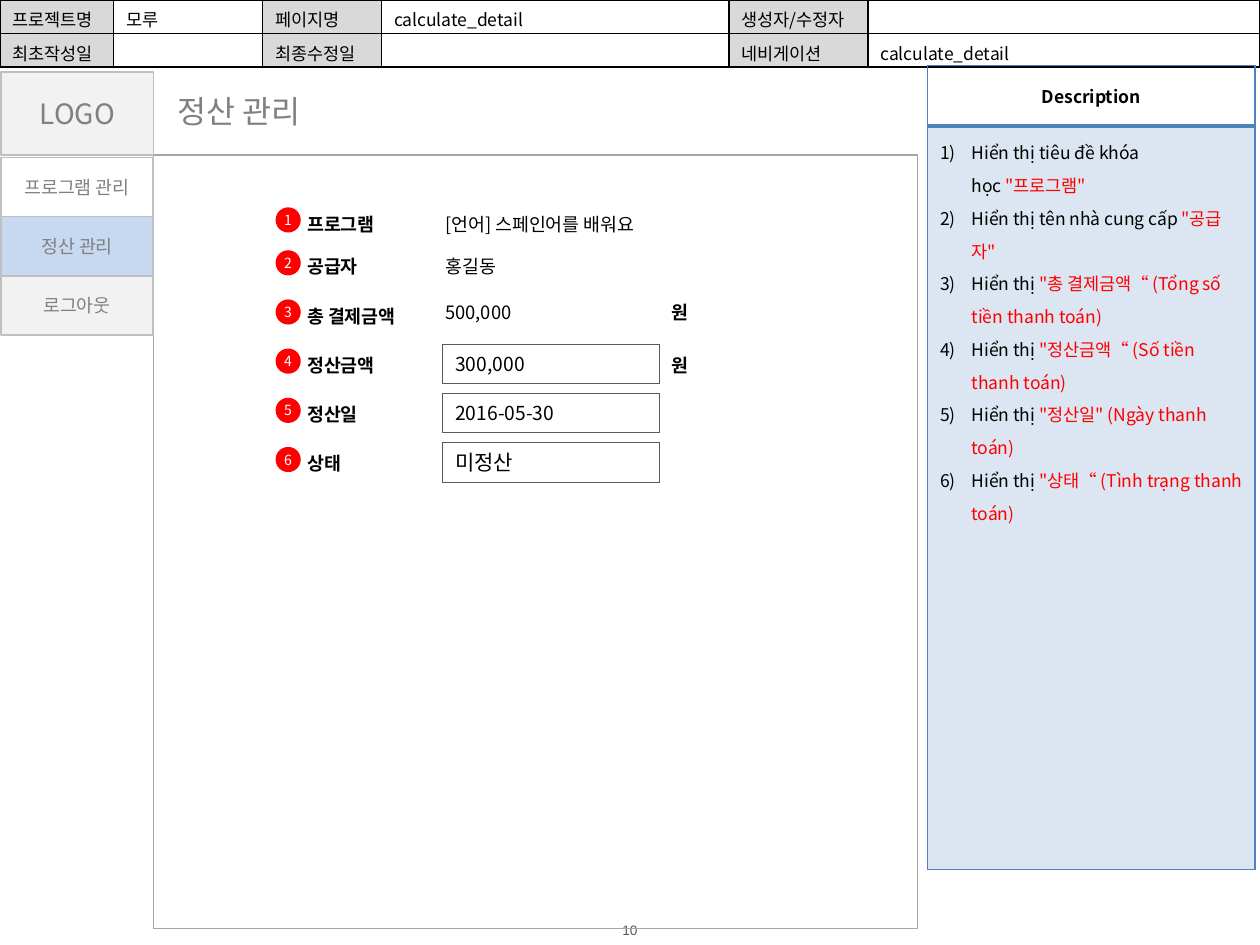
from lxml.etree import SubElement
from pptx import Presentation
from pptx.dml.color import RGBColor
from pptx.enum.shapes import MSO_SHAPE
from pptx.enum.text import MSO_ANCHOR, PP_ALIGN
from pptx.oxml.ns import qn
from pptx.util import Pt

FONT = "Noto Sans CJK KR"
COLORS = {
    "black": "000000", "white": "FFFFFF", "red": "FF0000", "blue": "4F81BD",
    "pale_blue": "DCE6F2", "active": "C6D9F1", "panel": "F2F2F2",
    "label": "D9D9D9", "border": "BFBFBF", "frame": "A6A6A6",
    "text_gray": "808080", "dark_gray": "595959",
}
HEADER_ROWS = [
    ["프로젝트명", "모루", "페이지명", "calculate_detail", "생성자/수정자", ""],
    ["최초작성일", "", "최종수정일", "", "네비게이션", "calculate_detail"],
]
HEADER_WIDTHS = [65, 85, 68, 198.5, 79.5, 224]
DESCRIPTIONS = [
    ("Hiển thị tiêu đề khóa học ", "\"프로그램\" "),
    ("Hiển thị tên nhà cung cấp ", "\"공급자\" "),
    ("Hiển thị ", "\"총 결제금액“ (Tổng số tiền thanh toán)"),
    ("Hiển thị ", "\"정산금액“ (Số tiền thanh toán)"),
    ("Hiển thị ", "\"정산일\" (Ngày thanh toán)"),
    ("Hiển thị ", "\"상태“ (Tình trạng thanh toán)"),
]
MENU = [("프로그램 관리", None), ("정산 관리", "active"), ("로그아웃", "panel")]
LABELS = ["프로그램", "공급자", "총 결제금액", "정산금액", "정산일", "상태"]
ROW_TOPS = [118] + [142.5 + 28.1 * step for step in range(5)]
VALUES = [("[언어] 스페인어를 배워요", 118), ("홍길동", 142.5), ("500,000", 168.5)]
FIELDS = [("300,000", 11), ("2016-05-30", 11), ("미정산", 12)]


def rgb(name):
    return RGBColor.from_string(COLORS[name])


def write_text(para, text, size=10, color="black", bold=False, align=None, font=FONT):
    if align is not None:
        para.alignment = align
    span = para.add_run()
    span.text = text
    span.font.size = Pt(size)
    span.font.bold = bold
    span.font.name = font
    span.font.color.rgb = rgb(color)
    SubElement(span.font._element, qn("a:ea")).set("typeface", font)


def set_fill(target, color):
    if color:
        target.fill.solid()
        target.fill.fore_color.rgb = rgb(color)
    else:
        target.fill.background()


def set_margins(frame, margin):
    frame.margin_left = frame.margin_right = Pt(margin)
    frame.margin_top = frame.margin_bottom = Pt(margin)


def add_label(page, text, left, top, width, height=21, margin=None, **style):
    box = page.shapes.add_textbox(Pt(left), Pt(top), Pt(width), Pt(height))
    frame = box.text_frame
    frame.word_wrap = True
    if margin is not None:
        set_margins(frame, margin)
    write_text(frame.paragraphs[0], text, **style)


def add_panel(page, left, top, width, height, text="", kind=MSO_SHAPE.RECTANGLE,
              fill=None, line=None, weight=1, margin=None, **style):
    shape = page.shapes.add_shape(kind, Pt(left), Pt(top), Pt(width), Pt(height))
    shape.shadow.inherit = False
    set_fill(shape, fill)
    if line:
        shape.line.color.rgb = rgb(line)
        shape.line.width = Pt(weight)
    else:
        shape.line.fill.background()
    frame = shape.text_frame
    frame.vertical_anchor = MSO_ANCHOR.MIDDLE
    if margin is not None:
        set_margins(frame, margin)
    if text:
        write_text(frame.paragraphs[0], text, **style)


def set_borders(cell, color, **weights):
    properties = cell._tc.get_or_add_tcPr()
    for position, side in enumerate(("L", "R", "T", "B")):
        line = properties.makeelement(qn(f"a:ln{side}"), {"w": str(Pt(weights.get(side, 1)))})
        fill = SubElement(line, qn("a:solidFill"))
        SubElement(fill, qn("a:srgbClr")).set("val", COLORS[color])
        properties.insert(position, line)


def make_table(page, left, top, widths, heights):
    table = page.shapes.add_table(len(heights), len(widths), Pt(left), Pt(top),
                                  Pt(sum(widths)), Pt(sum(heights))).table
    table.first_row = table.horz_banding = False
    for column, width in zip(table.columns, widths):
        column.width = Pt(width)
    for row, height in zip(table.rows, heights):
        row.height = Pt(height)
    return table


def add_header(page):
    table = make_table(page, 0, 0, HEADER_WIDTHS, [19.2, 19.2])
    for row, texts in enumerate(HEADER_ROWS):
        for column, text in enumerate(texts):
            cell = table.cell(row, column)
            cell.margin_bottom = Pt(1)
            set_fill(cell, "label" if column % 2 == 0 else None)
            set_borders(cell, "black")
            para = cell.text_frame.paragraphs[0]
            if text:
                write_text(para, text)
            else:
                SubElement(para._p, qn("a:endParaRPr")).set("sz", "1000")


def add_descriptions(page):
    table = make_table(page, 530, 37.5, [187.2], [34.5, 425])
    heading, body = table.cell(0, 0), table.cell(1, 0)
    set_fill(heading, None)
    set_fill(body, "pale_blue")
    set_borders(heading, "blue", B=2)
    set_borders(body, "blue", T=2)
    heading.vertical_anchor = MSO_ANCHOR.MIDDLE
    write_text(heading.text_frame.paragraphs[0], "Description", bold=True, align=PP_ALIGN.CENTER)
    frame = body.text_frame
    for index, (lead, detail) in enumerate(DESCRIPTIONS):
        para = frame.add_paragraph() if index else frame.paragraphs[0]
        para.line_spacing = 1.3
        properties = para._p.get_or_add_pPr()
        properties.set("marL", str(Pt(18)))
        properties.set("indent", str(-Pt(18)))
        SubElement(properties, qn("a:buFont")).set("typeface", "+mj-lt")
        SubElement(properties, qn("a:buAutoNum")).set("type", "arabicParenR")
        write_text(para, lead)
        write_text(para, detail, color="red")


def add_title(page, text):
    title = page.shapes.title
    title.left, title.top, title.width, title.height = Pt(94.3), Pt(49), Pt(94), Pt(29)
    frame = title.text_frame
    frame.word_wrap = False
    frame.vertical_anchor = MSO_ANCHOR.TOP
    write_text(frame.paragraphs[0], text, size=18, color="text_gray", align=PP_ALIGN.LEFT)


def add_menu(page):
    style = {"line": "border", "color": "text_gray", "align": PP_ALIGN.CENTER}
    add_panel(page, 0.7, 41, 87, 47.5, "LOGO", fill="panel", size=16, **style)
    for index, (text, fill) in enumerate(MENU):
        add_panel(page, 0.5, 90 + 33.8 * index, 87, 33.8, text, fill=fill, size=10.5, **style)


def add_form(page):
    for number, (text, top) in enumerate(zip(LABELS, ROW_TOPS), 1):
        add_label(page, text, 168.5, top, 90, size=10.5, bold=True)
        add_panel(page, 157.5, top + 0.5, 14.4, 14.4, str(number), kind=MSO_SHAPE.OVAL,
                  fill="red", margin=0, size=8, color="white", align=PP_ALIGN.CENTER)
    for text, top in VALUES:
        add_label(page, text, 247.5, top, 220, size=10.5)
    for (text, size), top in zip(FIELDS, ROW_TOPS[3:]):
        add_panel(page, 253.1, top - 1.9, 124, 22.5, text, line="dark_gray", weight=0.5,
                  size=size, align=PP_ALIGN.LEFT)
    for top in (168.5, 198.7):
        add_label(page, "원", 376.5, top, 34, size=10.5, bold=True)


def main():
    deck = Presentation()
    deck.slide_width, deck.slide_height = Pt(720), Pt(540)
    page = deck.slides.add_slide(deck.slide_layouts[5])
    add_label(page, "10", 329, 527, 62, 10, margin=0, size=7.8, color="dark_gray",
              align=PP_ALIGN.CENTER, font="Arial")
    add_header(page)
    add_descriptions(page)
    add_title(page, "정산 관리")
    add_panel(page, 87.8, 88.5, 436.5, 442, line="frame", weight=0.75)
    add_form(page)
    add_menu(page)
    deck.save("out.pptx")


main()
